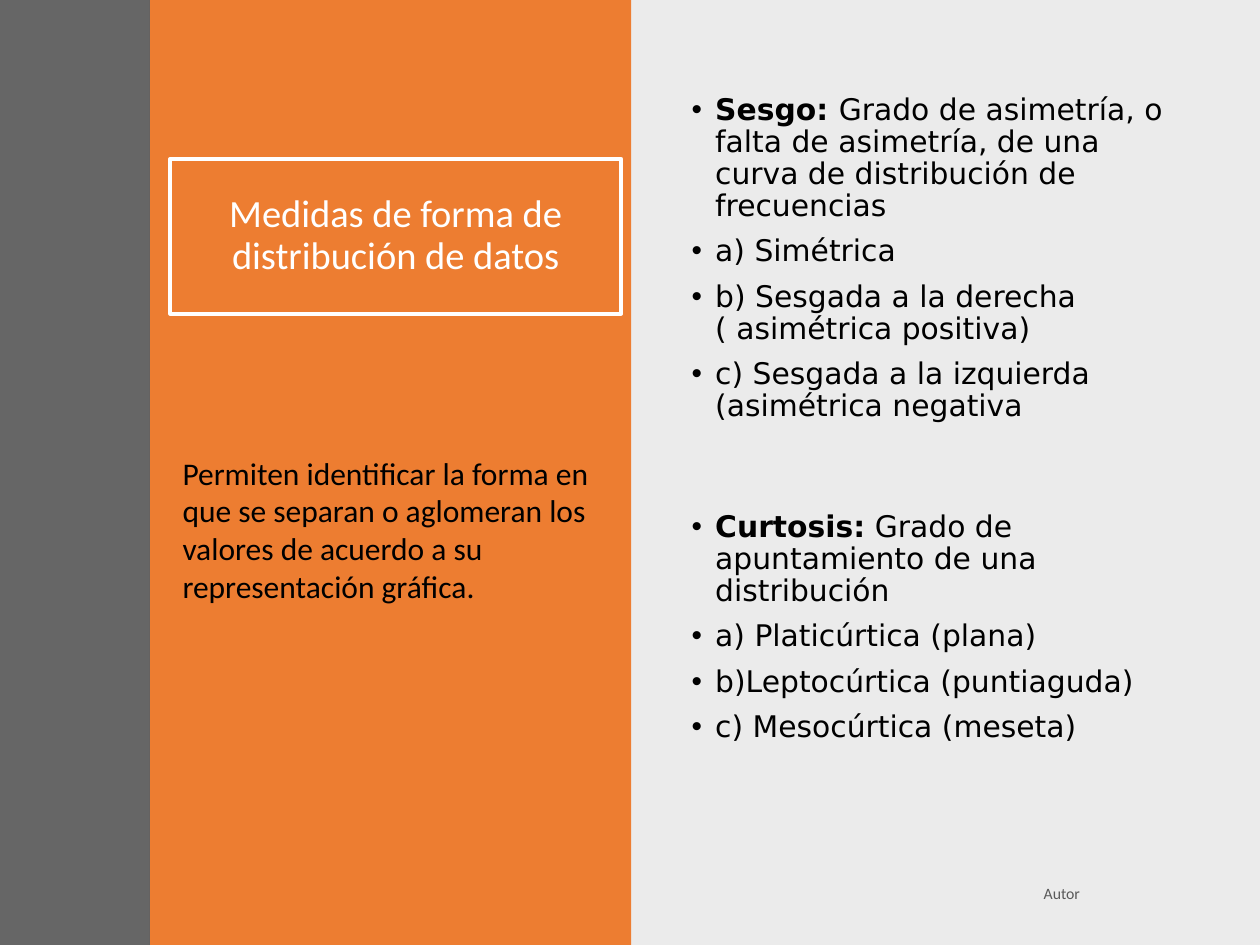
import dataclasses

import lxml.etree
import pptx
import pptx.dml.color
import pptx.enum.shapes
import pptx.enum.text
import pptx.oxml.ns
import pptx.shapes.base
import pptx.slide
import pptx.text.text
import pptx.util

Pt = pptx.util.Pt
Align = pptx.enum.text.PP_ALIGN
Anchor = pptx.enum.text.MSO_ANCHOR
COLORS = {
    "gray": "404040",
    "orange": "ED7D31",
    "black": "000000",
    "white": "FFFFFF",
    "footer": "595959",
}
SLIDE_WIDTH, SLIDE_HEIGHT = 720, 540
BULLET_INDENT = 13.5


@dataclasses.dataclass(frozen=True)
class Box:
    left: float
    top: float
    width: float
    height: float


@dataclasses.dataclass(frozen=True)
class Panel:
    left: float
    width: float
    color: str
    opacity: int


@dataclasses.dataclass(frozen=True)
class Measure:
    box: Box
    term: str
    definition: str
    kinds: tuple[str, ...]


PANELS = (
    Panel(360, 360, "black", 8),
    Panel(85.7, 275, "orange", 100),
    Panel(0, 85.7, "gray", 80),
)
MEASURES = (
    Measure(
        Box(388, 50.4, 298, 201),
        "Sesgo: ",
        "Grado de asimetría, o falta de asimetría, de una curva de distribución de frecuencias",
        (
            "a) Simétrica",
            "b) Sesgada a la derecha ( asimétrica positiva)",
            "c) Sesgada a la izquierda (asimétrica negativa",
        ),
    ),
    Measure(
        Box(388, 288.7, 298, 201),
        "Curtosis:",
        " Grado de apuntamiento de una distribución",
        (
            "a) Platicúrtica (plana)",
            "b)Leptocúrtica (puntiaguda)",
            "c) Mesocúrtica (meseta)",
        ),
    ),
)


def rgb(color: str) -> pptx.dml.color.RGBColor:
    return pptx.dml.color.RGBColor.from_string(COLORS[color])


def place(shape: pptx.shapes.base.BaseShape, box: Box) -> None:
    shape.left, shape.top = Pt(box.left), Pt(box.top)
    shape.width, shape.height = Pt(box.width), Pt(box.height)


def add_run(paragraph: pptx.text.text._Paragraph, text: str, size: float,
            font: str, color: str, bold: bool = False) -> None:
    run = paragraph.add_run()
    run.text = text
    run.font.size = Pt(size)
    run.font.name = font
    run.font.bold = bold
    run.font.color.rgb = rgb(color)


def add_panel(slide: pptx.slide.Slide, panel: Panel, depth: int) -> None:
    shape = slide.shapes.add_shape(
        pptx.enum.shapes.MSO_SHAPE.RECTANGLE,
        Pt(panel.left), 0, Pt(panel.width), Pt(SLIDE_HEIGHT))
    shape.shadow.inherit = False
    shape.line.fill.background()
    shape.fill.solid()
    shape.fill.fore_color.rgb = rgb(panel.color)
    if panel.opacity < 100:
        color = shape._element.spPr.find(".//" + pptx.oxml.ns.qn("a:srgbClr"))
        alpha = lxml.etree.SubElement(color, pptx.oxml.ns.qn("a:alpha"))
        alpha.set("val", str(panel.opacity * 1000))
    slide.shapes._spTree.insert(2 + depth, shape._element)


def format_bullet(paragraph: pptx.text.text._Paragraph) -> None:
    paragraph.line_spacing = 0.9
    paragraph.space_before = Pt(7.5)
    properties = paragraph._p.get_or_add_pPr()
    properties.set("marL", str(Pt(BULLET_INDENT)))
    properties.set("indent", str(-Pt(BULLET_INDENT)))
    for tag, key, value in (("a:buFont", "typeface", "Arial"), ("a:buChar", "char", "•")):
        lxml.etree.SubElement(properties, pptx.oxml.ns.qn(tag)).set(key, value)


def fill_measure(body: pptx.shapes.base.BaseShape, measure: Measure) -> None:
    place(body, measure.box)
    frame = body.text_frame
    frame.auto_size = pptx.enum.text.MSO_AUTO_SIZE.NONE
    frame.vertical_anchor = Anchor.TOP
    entries = [((measure.term, True), (measure.definition, False))]
    entries += [((kind, False),) for kind in measure.kinds]
    for index, runs in enumerate(entries):
        paragraph = frame.add_paragraph() if index else frame.paragraphs[0]
        format_bullet(paragraph)
        for text, bold in runs:
            add_run(paragraph, text, 17, "DejaVu Sans", "black", bold)


def fill_title(title: pptx.shapes.base.BaseShape) -> None:
    place(title, Box(97.2, 90.7, 257.8, 88.6))
    title.line.color.rgb = rgb("white")
    title.line.width = Pt(2)
    frame = title.text_frame
    frame.auto_size = pptx.enum.text.MSO_AUTO_SIZE.NONE
    frame.vertical_anchor = Anchor.MIDDLE
    heading = frame.paragraphs[0]
    heading.alignment = Align.CENTER
    heading.line_spacing = 0.9
    add_run(heading, "Medidas de forma de distribución de datos", 22, "Calibri", "white")


def add_note(slide: pptx.slide.Slide, box: Box, text: str, size: float, color: str,
             align: Align, anchor: Anchor) -> None:
    frame = slide.shapes.add_textbox(
        Pt(box.left), Pt(box.top), Pt(box.width), Pt(box.height)).text_frame
    frame.word_wrap = True
    frame.vertical_anchor = anchor
    paragraph = frame.paragraphs[0]
    paragraph.alignment = align
    paragraph.space_after = Pt(6)
    add_run(paragraph, text, size, "Calibri", color)


def main() -> None:
    """Build the slide on measures of shape and save it."""
    deck = pptx.Presentation()
    deck.slide_width, deck.slide_height = Pt(SLIDE_WIDTH), Pt(SLIDE_HEIGHT)
    slide = deck.slides.add_slide(deck.slide_layouts.get_by_name("Two Content"))
    for depth, panel in enumerate(PANELS):
        add_panel(slide, panel, depth)
    fill_title(slide.shapes.title)
    for position, measure in enumerate(MEASURES, start=1):
        fill_measure(slide.placeholders[position], measure)
    add_note(slide, Box(383, 497.5, 241.2, 25.2), "Autor", 9, "footer",
             Align.RIGHT, Anchor.MIDDLE)
    add_note(slide, Box(97.2, 255.6, 272.2, 94.3),
             "Permiten identificar la forma en que se separan o aglomeran los "
             "valores de acuerdo a su representación gráfica.",
             18, "black", Align.LEFT, Anchor.TOP)
    deck.save("out.pptx")


if __name__ == "__main__":
    main()
